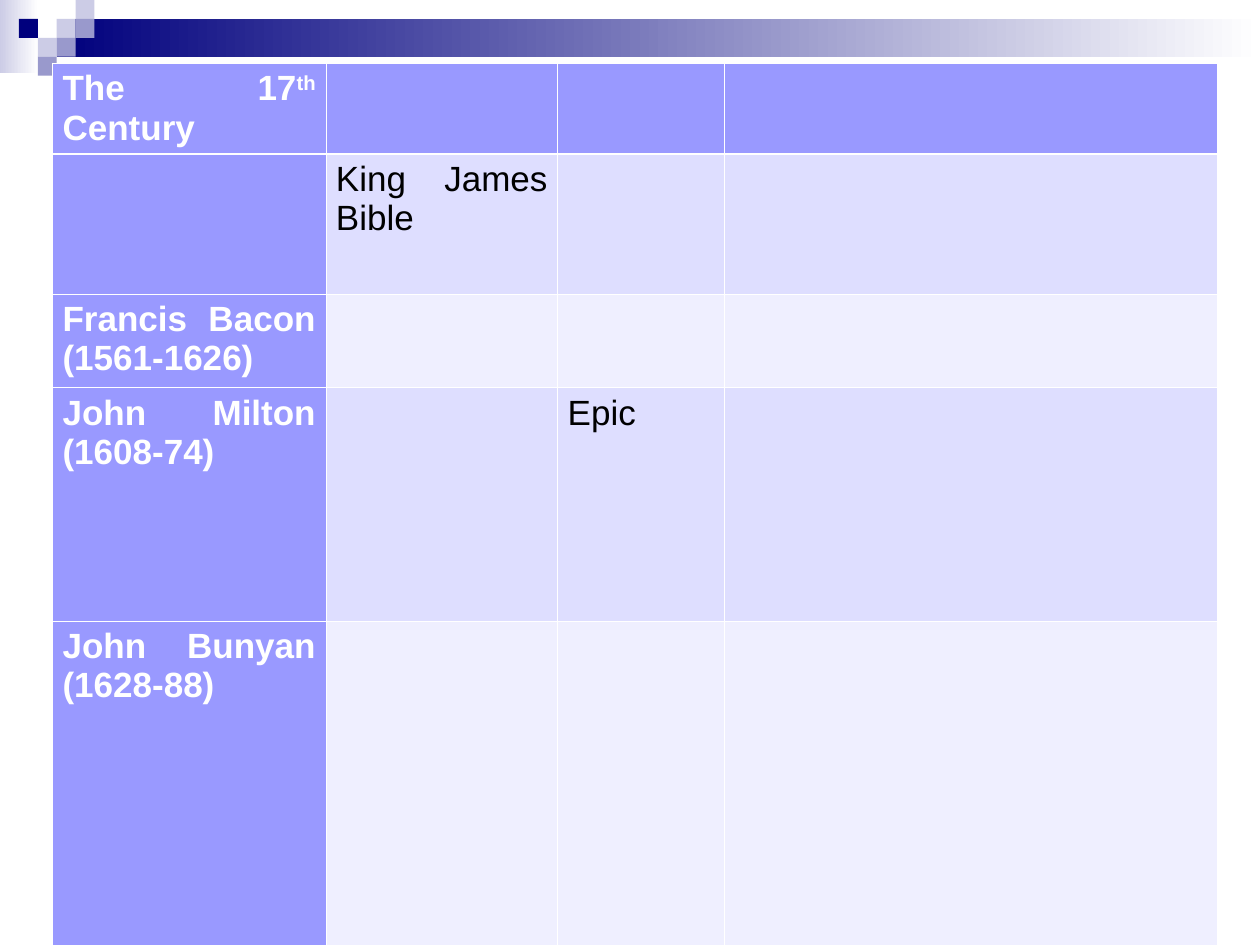
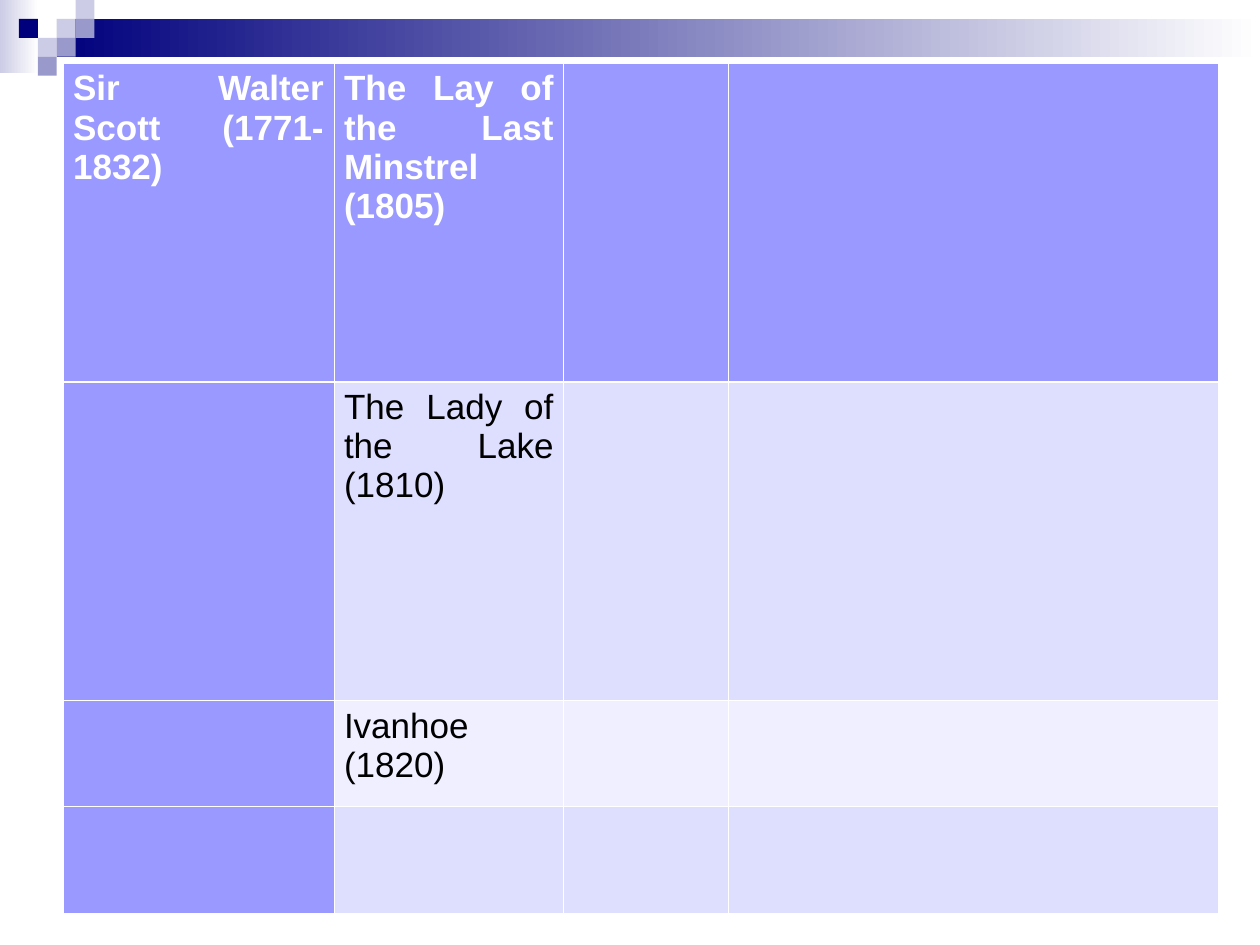
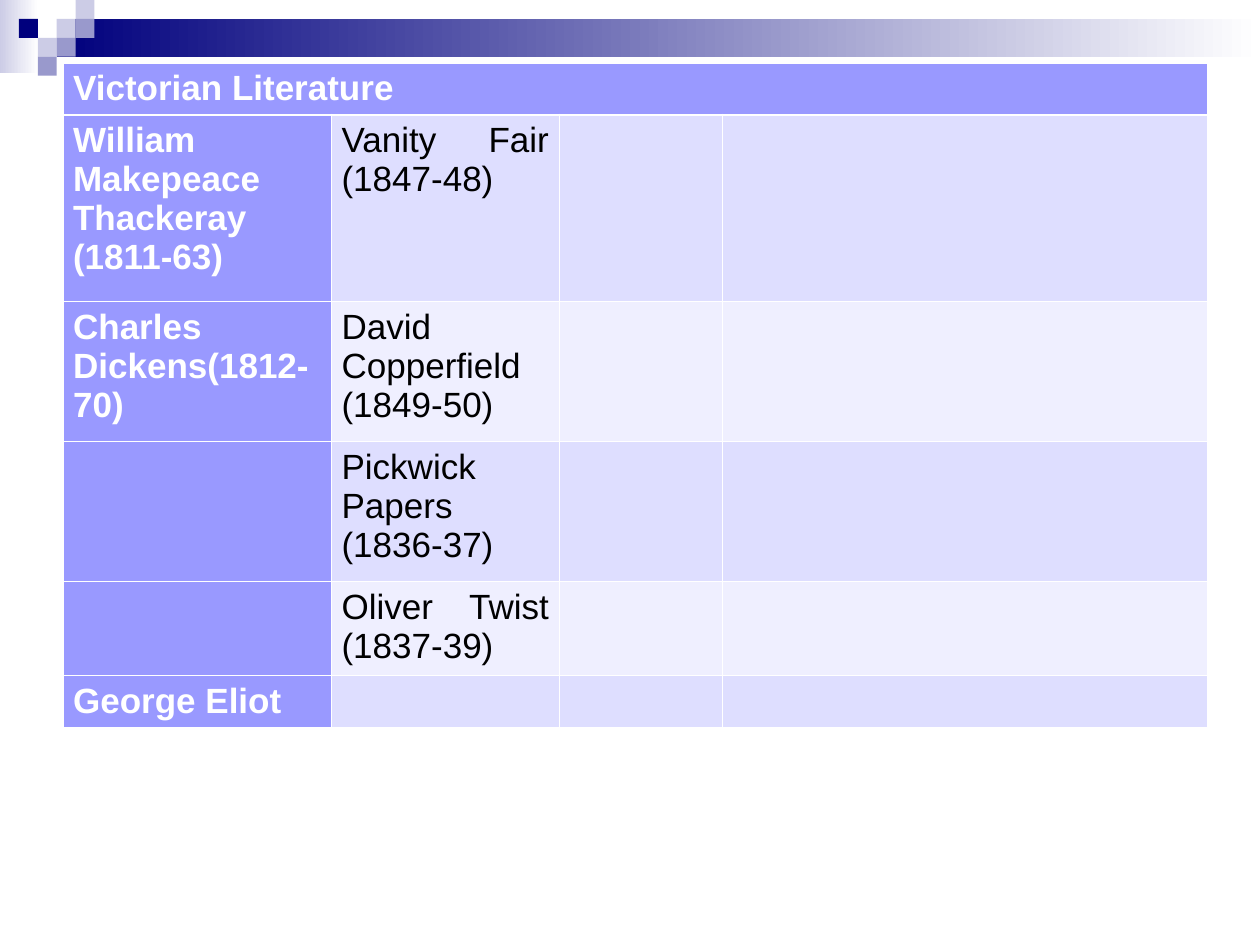
import lxml.etree
import pptx
import pptx.dml.color
import pptx.enum.shapes
import pptx.enum.text
import pptx.oxml.ns
import pptx.util

Pt = pptx.util.Pt
SLIDE_WIDTH, SLIDE_HEIGHT = 720, 540

WHITE, BLACK = "FFFFFF", "000000"
NAVY, MID_BLUE, PALE_BLUE = "00007D", "9999CC", "CCCCE6"
HEADING_FILL = "9999FF"
BAND_FILLS = ["EFEFFF", "DEDEFF"]

FONT, FONT_SIZE = "Arial", 20
THIN_LINE, HEADER_LINE = 0.45, 1.47
CELL_MARGIN_X, CELL_MARGIN_Y = 5.76, 3.6
COLUMN_SHARES = [217, 184, 132, 392]
TABLE_TOP = 36
LINE = 26.7  # height of one text line in a row

MOSAIC_UNIT = 10.8
MOSAIC = [  # column, row, colour
    (3, 1, PALE_BLUE), (4, 0, PALE_BLUE), (4, 1, MID_BLUE),
    (2, 2, PALE_BLUE), (1, 1, NAVY), (3, 2, MID_BLUE), (2, 3, MID_BLUE),
]

# Each row is its height and its leading cell texts; ^ marks superscript.
SLIDES = [
    {"left": 30, "width": 666, "rows": [
        (48.2, ["The 17^th^ Century"]),
        (3 * LINE, ["", "King James Bible"]),
        (2 * LINE, ["Francis Bacon (1561-1626)"]),
        (5 * LINE, ["John Milton (1608-74)", "", "Epic"]),
        (7 * LINE, ["John Bunyan (1628-88)"]),
    ]},
    {"left": 36, "width": 660, "rows": [
        (182.2, ["Sir Walter Scott (1771-1832)",
                 "The Lay of the Last Minstrel (1805)"]),
        (182.2, ["", "The Lady of the Lake (1810)"]),
        (60.7, ["", "Ivanhoe (1820)"]),
        (60.7, []),
    ]},
    {"left": 36, "width": 654, "merge_header": True, "rows": [
        (LINE, ["Victorian Literature"]),
        (4 * LINE, ["William Makepeace Thackeray (1811-63)",
                    "Vanity Fair (1847-48)"]),
        (3 * LINE, ["Charles Dickens(1812-70)",
                    "David Copperfield (1849-50)"]),
        (3 * LINE, ["", "Pickwick Papers (1836-37)"]),
        (2 * LINE, ["", "Oliver Twist (1837-39)"]),
        (LINE, ["George Eliot"]),
    ]},
]


def color(hex_string):
    return pptx.dml.color.RGBColor.from_string(hex_string)


def add_rectangle(slide, left, top, width, height, *colors):
    """One colour gives a solid fill, two give a left-to-right gradient."""
    shape = slide.shapes.add_shape(
        pptx.enum.shapes.MSO_SHAPE.RECTANGLE,
        Pt(left), Pt(top), Pt(width), Pt(height))
    shape.shadow.inherit = False
    shape.line.fill.background()
    if len(colors) == 1:
        shape.fill.solid()
        shape.fill.fore_color.rgb = color(colors[0])
    else:
        shape.fill.gradient()
        shape.fill.gradient_angle = 0
        for stop, stop_color in zip(shape.fill.gradient_stops, colors):
            stop.color.rgb = color(stop_color)


def add_banner(slide):
    add_rectangle(slide, 0, 0, 22, 42, PALE_BLUE, WHITE)
    band_left = 3 * MOSAIC_UNIT
    add_rectangle(slide, band_left, MOSAIC_UNIT, SLIDE_WIDTH - band_left,
                  2 * MOSAIC_UNIT, NAVY, WHITE)
    for column, row, fill in MOSAIC:
        add_rectangle(slide, column * MOSAIC_UNIT, row * MOSAIC_UNIT,
                      MOSAIC_UNIT, MOSAIC_UNIT, fill)


def set_borders(cell, widths):
    properties = cell._tc.get_or_add_tcPr()
    qualified = pptx.oxml.ns.qn
    for side, width in zip("LRTB", widths):
        line = lxml.etree.SubElement(
            properties, qualified(f"a:ln{side}"), w=str(int(Pt(width))))
        fill = lxml.etree.SubElement(line, qualified("a:solidFill"))
        lxml.etree.SubElement(fill, qualified("a:srgbClr"), val=WHITE)


def write_cell(cell, text, is_heading):
    cell.margin_left = cell.margin_right = Pt(CELL_MARGIN_X)
    cell.margin_top = cell.margin_bottom = Pt(CELL_MARGIN_Y)
    paragraph = cell.text_frame.paragraphs[0]
    paragraph.alignment = pptx.enum.text.PP_ALIGN.JUSTIFY
    paragraph.font.name = FONT
    paragraph.font.size = Pt(FONT_SIZE)
    paragraph.font.bold = is_heading
    paragraph.font.color.rgb = color(WHITE if is_heading else BLACK)
    if not text:
        return
    for index, part in enumerate(text.split("^")):
        run = paragraph.add_run()
        run.text = part
        if index % 2:
            run._r.get_or_add_rPr().set("baseline", "30000")


def add_timeline_table(slide, left, width, rows, merge_header=False):
    total_height = sum(height for height, _ in rows)
    table = slide.shapes.add_table(
        len(rows), len(COLUMN_SHARES),
        Pt(left), Pt(TABLE_TOP), Pt(width), Pt(total_height)).table
    for column, share in zip(table.columns, COLUMN_SHARES):
        column.width = Pt(width * share / sum(COLUMN_SHARES))
    for row_index, (height, texts) in enumerate(rows):
        table.rows[row_index].height = Pt(height)
        above = HEADER_LINE if row_index == 1 else THIN_LINE
        below = HEADER_LINE if row_index == 0 else THIN_LINE
        for column_index in range(len(COLUMN_SHARES)):
            cell = table.cell(row_index, column_index)
            is_heading = row_index == 0 or column_index == 0
            text = texts[column_index] if column_index < len(texts) else ""
            set_borders(cell, (THIN_LINE, THIN_LINE, above, below))
            cell.fill.solid()
            cell.fill.fore_color.rgb = color(
                HEADING_FILL if is_heading else BAND_FILLS[row_index % 2])
            write_cell(cell, text, is_heading)
    if merge_header:
        table.cell(0, 0).merge(table.cell(0, len(COLUMN_SHARES) - 1))


def main():
    presentation = pptx.Presentation()
    presentation.slide_width = Pt(SLIDE_WIDTH)
    presentation.slide_height = Pt(SLIDE_HEIGHT)
    for content in SLIDES:
        slide = presentation.slides.add_slide(presentation.slide_layouts[6])
        add_banner(slide)
        add_timeline_table(slide, **content)
    presentation.save("out.pptx")


if __name__ == "__main__":
    main()
